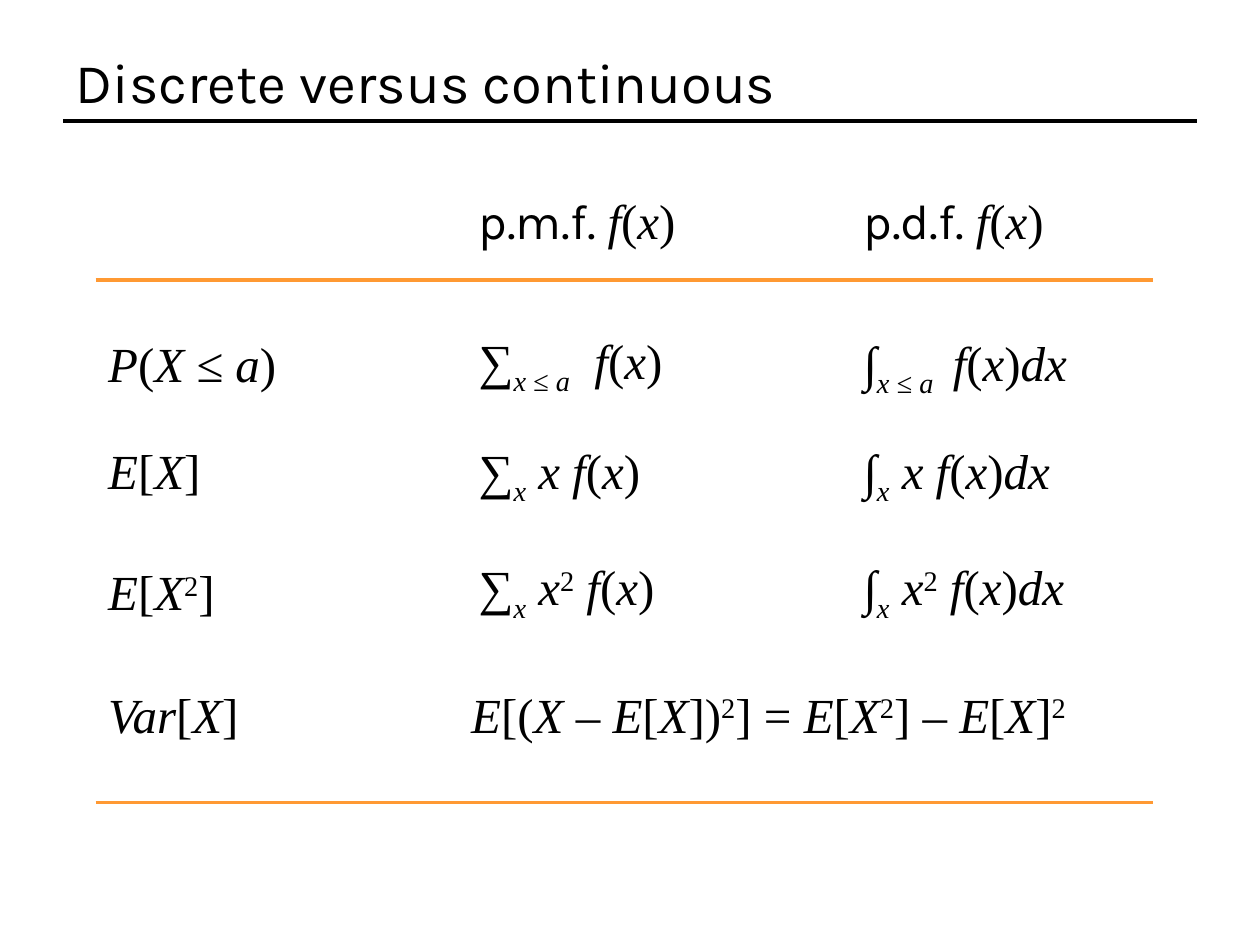
from dataclasses import dataclass

from lxml import etree
from pptx import Presentation
from pptx import util as u
from pptx.dml.color import RGBColor
from pptx.enum import shapes, text
from pptx.oxml.ns import qn

INK = {"text": "000000", "rule": "FF9933", "paper": "FFFFFF"}
SANS, SERIF = "Karla", "Times New Roman"
LEFT, MID, RIGHT = 1.93, 9.4, 17.16
HIGH = 1.45
BASE = {"_": "-25000", "^": "30000"}


@dataclass
class Math:
    x: float
    y: float
    wide: float
    terms: str


@dataclass
class Rule:
    x: float
    y: float
    end: float
    tone: str


CELLS = [
    Math(MID, 3.71, 4.5, "~p.m.f. |f|(|x|)"),
    Math(RIGHT, 3.71, 4.17, "~p.d.f. |f|(|x|)"),
    Math(LEFT, 6.6, 3.99, "P|(|X ≤ a|)"),
    Math(MID, 6.53, 4.39, "∑|_x ≤ a|  f|(|x|)"),
    Math(RIGHT, 6.58, 4.85, "∫|_x ≤ a | f|(|x|)|dx"),
    Math(LEFT, 8.76, 2.54, "E|[|X|]"),
    Math(MID, 8.76, 3.86, "∑|_x| x f|(|x|)"),
    Math(RIGHT, 8.76, 4.39, "∫|_x| x f|(|x|)|dx"),
    Math(LEFT, 11.2, 2.84, "E|[|X|^2|]"),
    Math(MID, 11.1, 4.32, "∑|_x| x|^2| f|(|x|)"),
    Math(RIGHT, 11.1, 4.67, "∫|_x| x|^2| f|(|x|)|dx"),
    Math(LEFT, 13.67, 3.25, "Var|[|X|]"),
    Math(9.25, 13.67, 13.11,
         "E|[(|X| – |E|[|X|])|^2|] = |E|[|X|^2|] – |E|[|X|]|^2"),
]
RULES = [
    Rule(1.27, 2.44, 24.13, "text"),
    Rule(LEFT, 5.64, 23.24, "rule"),
    Rule(LEFT, 16.18, 23.24, "rule"),
]


def tint(name: str) -> RGBColor:
    return RGBColor.from_string(INK[name])


def draw_rule(slide, rule: Rule) -> None:
    line = slide.shapes.add_connector(
        shapes.MSO_CONNECTOR.STRAIGHT,
        u.Cm(rule.x), u.Cm(rule.y), u.Cm(rule.end), u.Cm(rule.y))
    line.line.color.rgb = tint(rule.tone)
    line.line.width = u.Pt(2)
    etree.SubElement(line._element.spPr, qn("a:effectLst"))


def draw_math(slide, cell: Math) -> None:
    box = slide.shapes.add_textbox(
        u.Cm(cell.x), u.Cm(cell.y), u.Cm(cell.wide), u.Cm(HIGH))
    box.fill.solid()
    box.fill.fore_color.rgb = tint("paper")
    frame = box.text_frame
    frame.word_wrap = False
    frame.auto_size = text.MSO_AUTO_SIZE.SHAPE_TO_FIT_TEXT
    para = frame.paragraphs[0]
    para.font.size = u.Pt(28)
    para.font.color.rgb = tint("text")
    for term in cell.terms.split("|"):
        mark = term[0] if term[0] in "_^~" else ""
        run = para.add_run()
        run.text = term[len(mark):]
        run.font.name = SANS if mark == "~" else SERIF
        run.font.italic = mark != "~" and any(c.isalpha() for c in term)
        if mark in BASE:
            run.font._element.set("baseline", BASE[mark])


def draw_title(slide, words: str) -> None:
    title = slide.shapes.title
    title.left, title.top = u.Cm(1.27), u.Cm(0.76)
    title.width, title.height = u.Cm(22.86), u.Cm(1.68)
    frame = title.text_frame
    frame.text = words
    frame.vertical_anchor = text.MSO_ANCHOR.BOTTOM
    para = frame.paragraphs[0]
    para.alignment = text.PP_ALIGN.LEFT
    para.font.name = SANS
    para.font.size = u.Pt(32)
    para.font.color.rgb = tint("text")


def main() -> None:
    deck = Presentation()
    deck.slide_width, deck.slide_height = u.Cm(25.4), u.Cm(19.05)
    slide = deck.slides.add_slide(deck.slide_layouts[5])
    draw_title(slide, "Discrete versus continuous")
    for cell in CELLS:
        draw_math(slide, cell)
    for rule in RULES:
        draw_rule(slide, rule)
    deck.save("out.pptx")


if __name__ == "__main__":
    main()
